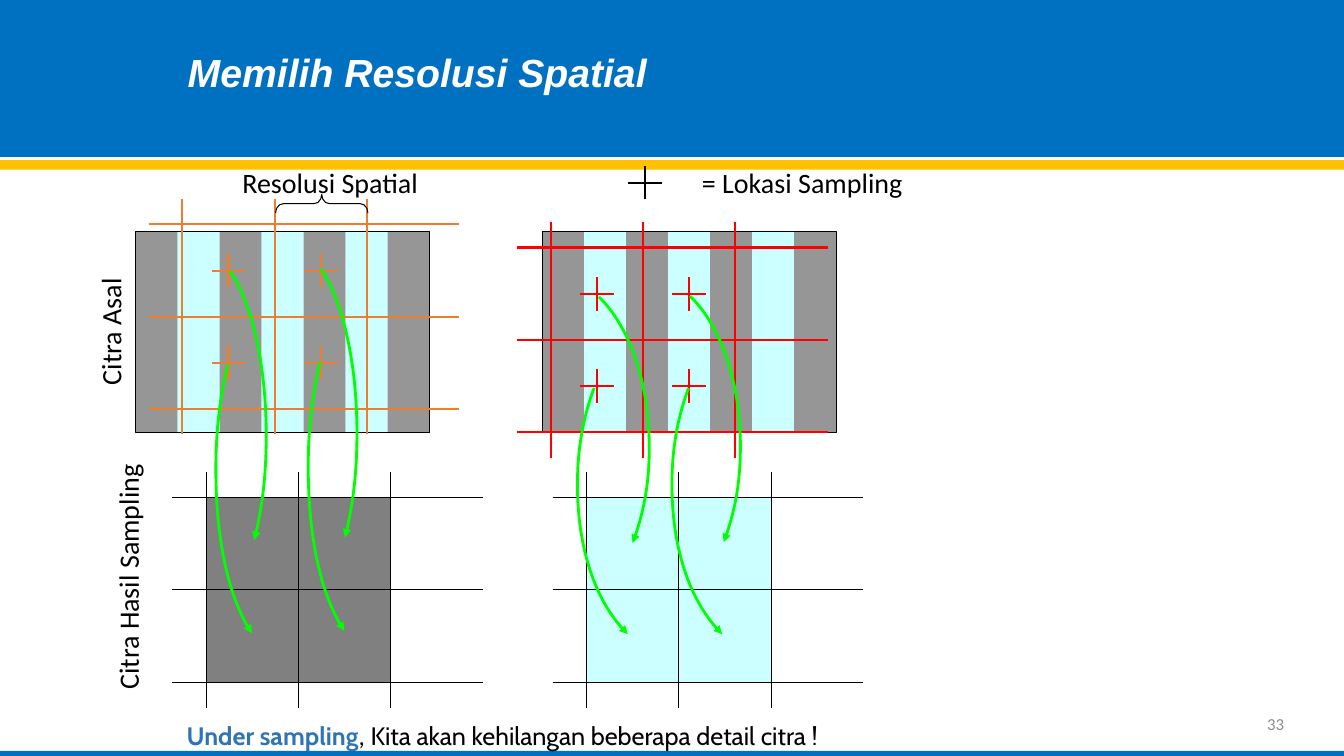
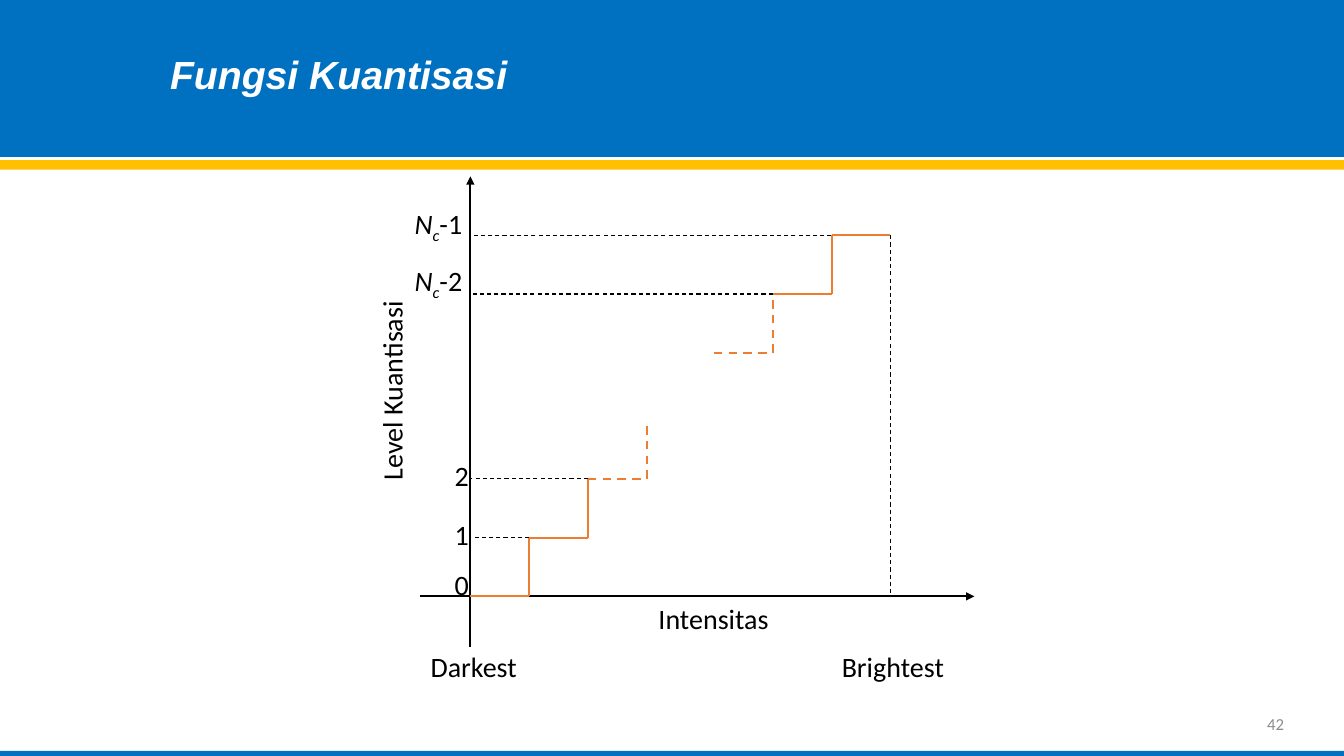
from collections import namedtuple
from dataclasses import dataclass
from itertools import pairwise, product

from lxml.etree import SubElement
from pptx import Presentation
from pptx.dml.color import RGBColor
from pptx.enum.dml import MSO_LINE
from pptx.enum.shapes import MSO_CONNECTOR, MSO_SHAPE
from pptx.enum.text import MSO_ANCHOR, PP_ALIGN
from pptx.oxml.ns import qn
from pptx.util import Emu, Pt


@dataclass(frozen=True)
class Theme:
    band = RGBColor(0x00, 0x70, 0xC0)
    gold = RGBColor(0xFF, 0xC0, 0x00)
    white = RGBColor(0xFF, 0xFF, 0xFF)
    black = RGBColor(0x00, 0x00, 0x00)
    page_number = RGBColor(0x8C, 0x8C, 0x8C)
    keyword = RGBColor(0x2E, 0x75, 0xB6)
    stripe_gray = RGBColor(0x96, 0x96, 0x96)
    stripe_cyan = RGBColor(0xCC, 0xFF, 0xFF)
    sample_gray = RGBColor(0x80, 0x80, 0x80)
    orange = RGBColor(0xED, 0x7D, 0x31)
    red = RGBColor(0xFF, 0x00, 0x00)
    green = RGBColor(0x00, 0xFF, 0x00)
    title_font, body_font, note_font = "Arial", "Calibri", "Cabin"
    title_size, label_size, note_size, number_size = 28, 20, 18, 12
    thin, medium, thick = 0.75, 1.5, 2


theme = Theme()

# The slide is a grid of 160 columns and 90 rows; all lengths count its cells.
COLUMNS, ROWS, CELL = 160, 90, 76200
Run = namedtuple("Run", "text font color bold italic baseline",
                 defaults=(theme.body_font, theme.black, False, False, 0))


def draw_path(slide, points, color, width, dash=None, arrow=False):
    """Join two points with a connector, or follow more as a chain of Bezier pieces."""
    points = [(Emu(round(x * CELL)), Emu(round(y * CELL))) for x, y in points]
    if len(points) == 2:
        shape = slide.shapes.add_connector(MSO_CONNECTOR.STRAIGHT, *points[0], *points[1])
    else:
        builder = slide.shapes.build_freeform(*points[0], scale=1.0)
        builder.add_line_segments(points[1:], close=False)
        shape = builder.convert_to_shape()
        shape.fill.background()
        segments = list(shape.element.iter(qn("a:lnTo")))
        for first, second, third in zip(*[iter(segments)] * 3):
            curve = SubElement(first.getparent(), qn("a:cubicBezTo"))
            for segment in (first, second, third):
                curve.append(segment[0])
                segment.getparent().remove(segment)
    shape.line.color.rgb = color
    shape.line.width = Pt(width)
    if dash:
        shape.line.dash_style = dash
    properties = shape.element.spPr
    if arrow:
        SubElement(properties.find(qn("a:ln")), qn("a:tailEnd"), type="triangle")
    SubElement(properties, qn("a:effectLst"))


def add_label(slide, runs, center_x, center_y, width, size=theme.label_size,
              rotation=0, alignment=PP_ALIGN.CENTER):
    height = size * 0.2 + 1.2
    shape = slide.shapes.add_textbox(
        *(Emu(round(value * CELL)) for value in
          (center_x - width / 2, center_y - height / 2, width, height)))
    shape.rotation = rotation
    shape.text_frame.word_wrap = False
    shape.text_frame.vertical_anchor = MSO_ANCHOR.MIDDLE
    paragraph = shape.text_frame.paragraphs[0]
    paragraph.alignment = alignment
    for item in runs:
        run = paragraph.add_run()
        run.text = item.text
        run.font.name, run.font.size = item.font, Pt(size)
        run.font.bold, run.font.italic = item.bold, item.italic
        run.font.color.rgb = item.color
        if item.baseline:
            run.font._element.set("baseline", str(item.baseline))


presentation = Presentation()
presentation.slide_width = Emu(COLUMNS * CELL)
presentation.slide_height = Emu(ROWS * CELL)
layout = presentation.slide_layouts[5]

# Titles and page numbers
slides = []
for title_text, number, left, top, width in [
        ("Memilih Resolusi Spatial", "33", 21.15, 5.2, 57.7),
        ("Fungsi Kuantisasi", "42", 19.05, 5.4, 43.1)]:
    slide = presentation.slides.add_slide(layout)
    title = slide.shapes.title
    title.left, title.top, title.width, title.height = (
        Emu(round(value * CELL)) for value in (left, top, width, 6.8))
    title.text_frame.word_wrap = False
    title.text_frame.vertical_anchor = MSO_ANCHOR.TOP
    paragraph = title.text_frame.paragraphs[0]
    paragraph.alignment = PP_ALIGN.LEFT
    run = paragraph.add_run()
    run.text = title_text
    run.font.name, run.font.size = theme.title_font, Pt(theme.title_size)
    run.font.bold = run.font.italic = True
    run.font.color.rgb = theme.white
    add_label(slide, [Run(number, color=theme.page_number)], 136.05, 86.2, 36,
              size=theme.number_size, alignment=PP_ALIGN.RIGHT)
    slides.append(slide)
sampling, quantisation = slides

# Bands shared through the layout
for index, (top, height, color) in enumerate([
        (0, 18.7, theme.band), (19.05, 1.15, theme.gold), (89.4, 0.6, theme.band)]):
    band = sampling.shapes.add_shape(
        MSO_SHAPE.RECTANGLE, 0, Emu(round(top * CELL)),
        presentation.slide_width, Emu(round(height * CELL)))
    band.shadow.inherit = False
    band.fill.solid()
    band.fill.fore_color.rgb = color
    band.line.fill.background()
    band.element.nvSpPr.cNvPr.set("id", str(20 + index))
    layout.shapes.element.insert(2 + index, band.element)

# Sampling: striped images, and the cells sampled from them
STRIPE, STRIPE_TOP, STRIPE_HEIGHT, STRIPES = 5, 27.55, 24, 7
PITCH, MARGIN_X, MARGIN_Y, GRID_WIDTH, GRID_HEIGHT = 11, 4, 3, 37, 28
RESULT_TOP = 56.23
blocks = []
for image_left, result_left, sample_color in [
        (16.15, 20.53, theme.sample_gray), (64.55, 65.8, theme.stripe_cyan)]:
    for index in range(STRIPES):
        color = theme.stripe_cyan if index % 2 else theme.stripe_gray
        blocks.append((image_left + index * STRIPE, STRIPE_TOP, STRIPE, STRIPE_HEIGHT, color))
    blocks.append((image_left, STRIPE_TOP, STRIPES * STRIPE, STRIPE_HEIGHT, None))
    for column, row in product(range(2), repeat=2):
        blocks.append((result_left + MARGIN_X + column * PITCH,
                       RESULT_TOP + MARGIN_Y + row * PITCH, PITCH, PITCH, sample_color))
for *box, color in blocks:
    block = sampling.shapes.add_shape(
        MSO_SHAPE.RECTANGLE, *(Emu(round(value * CELL)) for value in box))
    block.shadow.inherit = False
    if color is None:
        block.fill.background()
        block.line.color.rgb = theme.black
        block.line.width = Pt(theme.thin)
    else:
        block.fill.solid()
        block.fill.fore_color.rgb = color
        block.line.fill.background()

# Sampling: grids and the crosses at their cell centres
crosses = [(76.82, 21.75, theme.black)]
for left, top, color, width, has_crosses in [
        (17.7, 23.72, theme.orange, theme.medium, True),
        (61.55, 26.47, theme.red, theme.medium, True),
        (20.53, RESULT_TOP, theme.black, theme.thin, False),
        (65.8, RESULT_TOP, theme.black, theme.thin, False)]:
    for index in range(3):
        x = left + MARGIN_X + index * PITCH
        y = top + MARGIN_Y + index * PITCH
        draw_path(sampling, [(x, top), (x, top + GRID_HEIGHT)], color, width)
        draw_path(sampling, [(left, y), (left + GRID_WIDTH, y)], color, width)
    if has_crosses:
        crosses += [(left + MARGIN_X + (column + 0.5) * PITCH,
                     top + MARGIN_Y + (row + 0.5) * PITCH, color)
                    for column, row in product(range(2), repeat=2)]
for x, y, color in crosses:
    draw_path(sampling, [(x, y - 2), (x, y + 2)], color, theme.medium)
    draw_path(sampling, [(x - 2, y), (x + 2, y)], color, theme.medium)

# Sampling: curved arrows, two Bezier pieces in a unit box, half of them turned round
ARC = [(0.33, 0), (0.11, 0.12), (0, 0.25), (0, 0.39), (0, 0.65), (0.39, 0.88), (1, 1)]
TURNED_ARC = [(1 - x, 1 - y) for x, y in reversed(ARC)]
for left, top, width, height, arc in [
        (25.7, 43.4, 4.3, 32, ARC), (36.7, 43.1, 4.3, 32, ARC),
        (27.4, 32.3, 4.3, 32, TURNED_ARC), (38.2, 32, 4.3, 32, TURNED_ARC),
        (68.75, 46.2, 6, 29.3, ARC), (80, 46.2, 6, 29.3, ARC),
        (71.3, 35.35, 6, 29.3, TURNED_ARC), (82.15, 35.25, 6, 29.3, TURNED_ARC)]:
    points = [(left + x * width, top + y * height) for x, y in arc]
    draw_path(sampling, points, theme.green, theme.thick, arrow=True)

brace = sampling.shapes.add_shape(
    MSO_SHAPE.LEFT_BRACE, *(Emu(round(value * CELL)) for value in (37.2, 18.75, 2.2, 11)))
brace.rotation = 90
brace.adjustments[0] = 0.415
brace.shadow.inherit = False
brace.fill.background()
brace.line.color.rgb = theme.black
brace.line.width = Pt(theme.thin)

add_label(sampling, [Run("Under sampling", theme.note_font, theme.keyword, True),
                     Run(", "),
                     Run("Kita akan kehilangan beberapa detail citra !", theme.note_font)],
          59.8, 87.55, 95.9, size=theme.note_size)

# Quantisation: axes, guides and stairs
LEVEL_ROWS = {"0": 71, "1": 64, "2": 57, "N-2": 35, "N-1": 28}
ORIGIN_X, ORIGIN_Y, LAST_X = 56, LEVEL_ROWS["0"], 106
for axis in [[(50, ORIGIN_Y), (116, ORIGIN_Y)], [(ORIGIN_X, 77), (ORIGIN_X, 21)]]:
    draw_path(quantisation, axis, theme.black, theme.medium, arrow=True)
guides = [[(end, LEVEL_ROWS[level]), (ORIGIN_X, LEVEL_ROWS[level])]
          for level, end in [("N-1", 99), ("N-2", 92), ("2", 70), ("1", 63)]]
guides.append([(LAST_X, LEVEL_ROWS["N-1"]), (LAST_X, ORIGIN_Y)])
for guide in guides:
    draw_path(quantisation, guide, theme.black, theme.thin, MSO_LINE.DASH)

STEP = 7
for x, y, segments, dash in [
        (ORIGIN_X, ORIGIN_Y, 4, None), (70, 57, 2, MSO_LINE.DASH),
        (85, 42, 2, MSO_LINE.DASH), (92, 35, 3, None)]:
    corners = [(x + (index + 1) // 2 * STEP, y - index // 2 * STEP)
               for index in range(segments + 1)]
    for segment in pairwise(corners):
        draw_path(quantisation, segment, theme.orange, theme.medium, dash)

# Labels of both slides
for slide, text, x, y, width, rotation in [
        (sampling, "= Lokasi Sampling", 95.5, 21.7, 26.5, 0),
        (sampling, "Resolusi Spatial", 39.3, 21.7, 24.4, 0),
        (sampling, "Citra Asal", 13.1, 39.5, 15.2, 270),
        (sampling, "Citra Hasil Sampling", 15.2, 68.7, 29.5, 270),
        (quantisation, "Intensitas", 84.95, 73.6, 15.7, 0),
        (quantisation, "Level Kuantisasi", 46.6, 46.5, 24, 270),
        (quantisation, "0", 54.95, 69.6, 4, 0),
        (quantisation, "1", 54.95, 63.6, 4, 0),
        (quantisation, "2", 54.95, 56.6, 4, 0),
        (quantisation, "Darkest", 56.4, 79.3, 12.7, 0),
        (quantisation, "Brightest", 106.3, 79.3, 14.6, 0)]:
    add_label(slide, [Run(text)], x, y, width, rotation=rotation)
for suffix, y in [("-1", 26.8), ("-2", 33.6)]:
    add_label(quantisation, [Run("N", italic=True), Run("c", italic=True, baseline=-25000),
                             Run(suffix)], 52.2, y, 8.4)

presentation.save("out.pptx")
